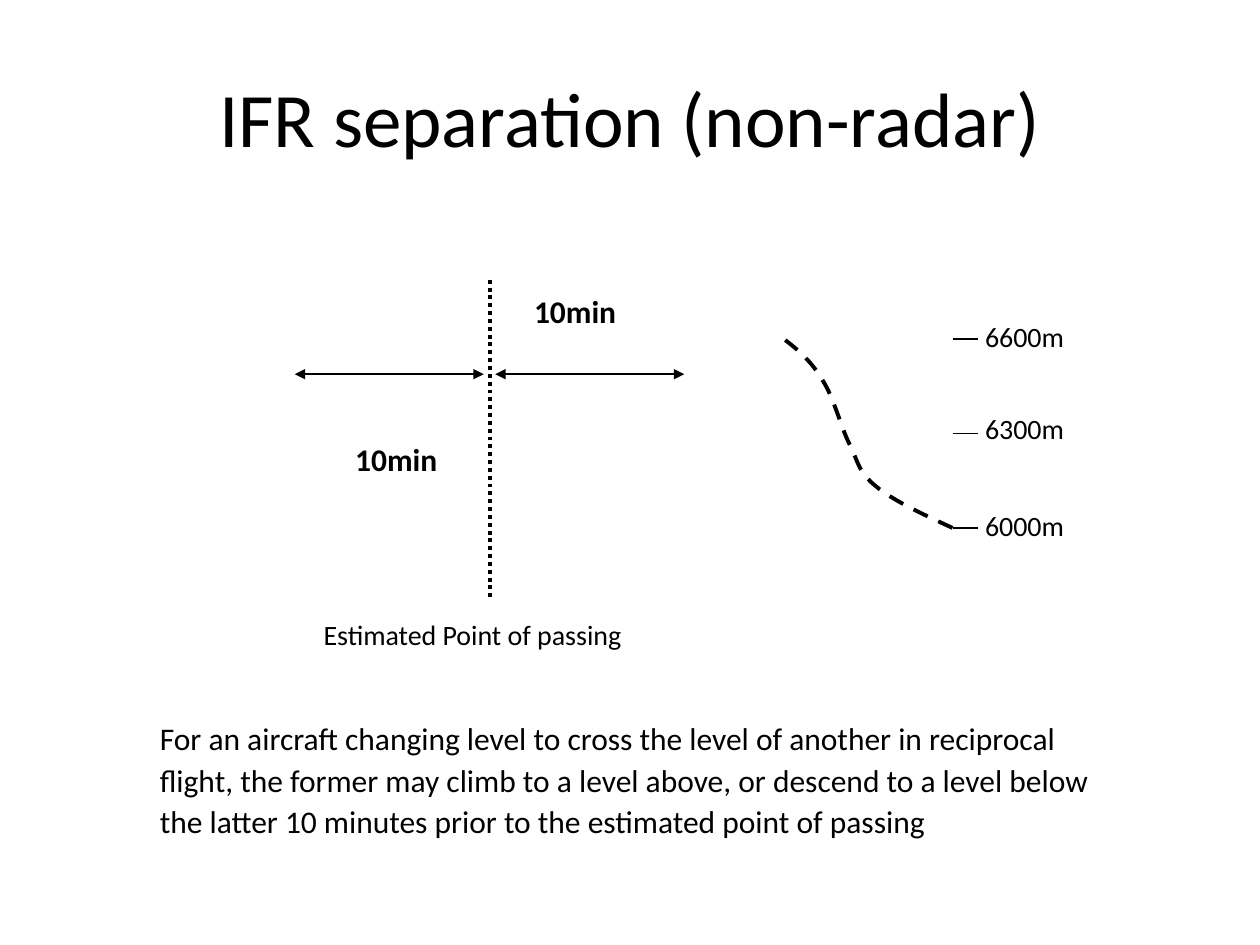
from lxml.etree import SubElement
from pptx import Presentation
from pptx.dml.color import RGBColor
from pptx.enum.dml import MSO_LINE
from pptx.enum.shapes import MSO_CONNECTOR
from pptx.enum.text import MSO_ANCHOR, MSO_AUTO_SIZE, PP_ALIGN
from pptx.oxml.ns import qn
from pptx.util import Inches, Pt

BLACK = RGBColor(0x00, 0x00, 0x00)
FONT = "Calibri"
COLS, ROWS = 10, 7.5
CURVE_STEPS = 12


def bezier(p0, p1, p2, p3, t):
    """Point at t on a cubic curve."""
    u = 1 - t
    return tuple(u**3 * a + 3 * u**2 * t * b + 3 * u * t**2 * c + t**3 * d
                 for a, b, c, d in zip(p0, p1, p2, p3))


class Deck:
    """Style and current slide; lengths are grid columns and rows."""

    def __init__(self):
        self.prs = Presentation()
        self.prs.slide_width, self.prs.slide_height = Inches(10), Inches(7.5)
        self.s = self.prs.slides.add_slide(self.prs.slide_layouts[5])

    def x(self, cols):
        return round(self.prs.slide_width * cols / COLS)

    def y(self, rows):
        return round(self.prs.slide_height * rows / ROWS)

    def box(self, left, top, width, height):
        return self.x(left), self.y(top), self.x(width), self.y(height)

    def format(self, tf, text, size, bold=False):
        tf.text = text
        p = tf.paragraphs[0]
        font = p.runs[0].font
        font.name, font.size, font.bold = FONT, Pt(size), bold
        font.color.rgb = BLACK
        return p

    def title(self, text, *area):
        sp = self.s.shapes.title
        sp.left, sp.top, sp.width, sp.height = self.box(*area)
        sp.text_frame.vertical_anchor = MSO_ANCHOR.MIDDLE
        self.format(sp.text_frame, text, 44).alignment = PP_ALIGN.CENTER

    def text(self, text, *area, size=16, bold=False, wrap=False, spacing=None):
        tf = self.s.shapes.add_textbox(*self.box(*area)).text_frame
        tf.word_wrap = wrap
        tf.auto_size = MSO_AUTO_SIZE.SHAPE_TO_FIT_TEXT
        p = self.format(tf, text, size, bold)
        p.line_spacing = spacing

    def stroke(self, line, width, dash=None):
        line.color.rgb = BLACK
        line.width = Pt(width)
        if dash:
            line.dash_style = dash

    def line(self, x1, y1, x2, y2, width, dash=None, arrows=False):
        sp = self.s.shapes.add_connector(
            MSO_CONNECTOR.STRAIGHT, self.x(x1), self.y(y1), self.x(x2), self.y(y2))
        self.stroke(sp.line, width, dash)
        if arrows:
            ln = sp.line._get_or_add_ln()
            for end in ("a:headEnd", "a:tailEnd"):
                SubElement(ln, qn(end), type="triangle")
        SubElement(sp._element.spPr, qn("a:effectLst"))

    def curve(self, points, width, dash):
        """Chain of cubic curves: a start point, then three points for each."""
        path = [bezier(*points[i:i + 4], step / CURVE_STEPS)
                for i in range(0, len(points) - 1, 3)
                for step in range(1, CURVE_STEPS + 1)]
        fb = self.s.shapes.build_freeform(self.x(points[0][0]), self.y(points[0][1]))
        fb.add_line_segments([(self.x(a), self.y(b)) for a, b in path], close=False)
        sp = fb.convert_to_shape()
        sp.shadow.inherit = False
        sp.fill.background()
        self.stroke(sp.line, width, dash)


def main():
    deck = Deck()
    deck.title("IFR separation (non-radar)", 0.5, 0.3, 9, 1.25)

    # Flight level scale
    levels = [("6600m", 2.49), ("6300m", 3.22), ("6000m", 3.99)]
    for i, (level, top) in enumerate(levels):
        tick = 2.69 + 0.75 * i
        deck.line(7.56, tick, 7.76, tick, 0.75)
        deck.text(level, 7.72, top, 0.83, 0.37)

    # Estimated point of passing
    passing = 3.89
    deck.line(passing, 4.74, passing, 2.19, 2.25, MSO_LINE.ROUND_DOT)
    deck.text("Estimated Point of passing", 2.47, 4.85, 2.83, 0.37)

    # Ten minutes on either side
    deck.text("10min", 4.14, 2.27, 1, 0.4, size=18, bold=True, wrap=True)
    deck.text("10min", 2.72, 3.44, 0.92, 0.4, size=18, bold=True, wrap=True)
    for start in (passing + 0.04, passing - 1.55):
        deck.line(start, 2.97, start + 1.5, 2.97, 1.5, arrows=True)

    # Level change
    deck.curve([(7.56, 4.19),
                (7.32, 4.08), (7.08, 3.97), (6.94, 3.85),
                (6.81, 3.74), (6.81, 3.66), (6.74, 3.52),
                (6.67, 3.38), (6.62, 3.16), (6.53, 3.02),
                (6.45, 2.88), (6.34, 2.78), (6.22, 2.69)], 2.25, MSO_LINE.DASH)

    # Rule
    deck.text("For an aircraft changing level to cross the level of another in "
              "reciprocal flight, the former may climb to a level above, or descend "
              "to a level below the latter 10 minutes prior to the estimated point "
              "of passing", 1.17, 5.63, 7.81, 1.1, size=18, wrap=True, spacing=1.1)

    deck.prs.save("out.pptx")


if __name__ == "__main__":
    main()
